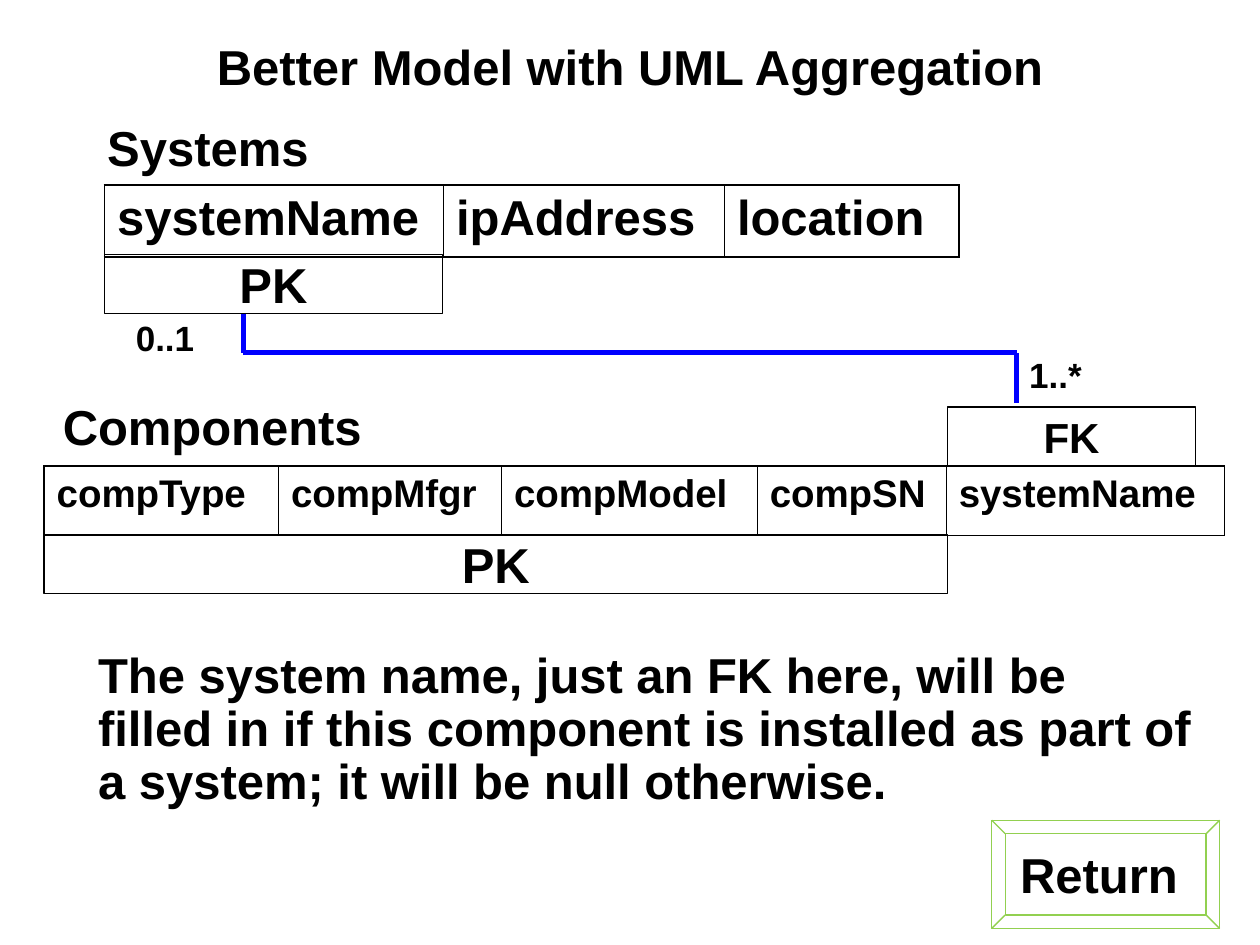
from lxml import etree
from pptx import Presentation
from pptx.dml.color import RGBColor
from pptx.enum import shapes, text
from pptx.oxml import ns
from pptx.util import Inches, Pt

BLACK = RGBColor(0, 0, 0)
BLUE = RGBColor(0, 0, 0xFF)
GREEN = RGBColor(0x92, 0xD0, 0x50)
LEFT, CENTER = text.PP_ALIGN.LEFT, text.PP_ALIGN.CENTER
TOP, MIDDLE = text.MSO_ANCHOR.TOP, text.MSO_ANCHOR.MIDDLE


def write(frame, words, size, align=LEFT, before=0):
    """Put one bold black paragraph in the frame and return it."""
    para = frame.paragraphs[0]
    para.alignment = align
    para.space_before = Pt(before)
    span = para.add_run()
    span.text = words
    span.font.name = "Arial"
    span.font.size = Pt(size)
    span.font.bold = True
    span.font.color.rgb = BLACK
    return para


def draw_border(cell, position, side, width):
    """Add one black cell border; position keeps the schema order."""
    border = etree.Element(ns.qn(f"a:ln{side}"), w=str(Pt(width)))
    fill = etree.SubElement(border, ns.qn("a:solidFill"))
    etree.SubElement(fill, ns.qn("a:srgbClr"), val=str(BLACK))
    cell._tc.get_or_add_tcPr().insert(position, border)


deck = Presentation()
deck.slide_width, deck.slide_height = Inches(10), Inches(7.5)
page = deck.slides.add_slide(deck.slide_layouts[6])

# Relations: left, top, height, text size, space before, columns with widths
relations = [
    (0.83, 1.47, 0.57, 28, 7,
     [("systemName", 2.69), ("ipAddress", 2.23), ("location", 1.86)]),
    (0.35, 3.7, 0.55, 22, 5.5,
     [("compType", 1.86), ("compMfgr", 1.77), ("compModel", 2.03),
      ("compSN", 1.5), ("systemName", 2.21)]),
]
for left, top, height, size, before, columns in relations:
    total = sum(width for _, width in columns)
    table = page.shapes.add_table(
        1, len(columns), Inches(left), Inches(top), Inches(total), Inches(height)
    ).table
    table.first_row = table.horz_banding = False
    table.rows[0].height = Inches(height)
    last = len(columns) - 1
    for index, (name, width) in enumerate(columns):
        table.columns[index].width = Inches(width)
        cell = table.cell(0, index)
        cell.fill.background()
        write(cell.text_frame, name, size, before=before)
        widths = {"L": 1.08 if index == 0 else 0.45,
                  "R": 1.08 if index == last else 0.45,
                  "T": 1.08, "B": 1.08}
        for position, (side, line_width) in enumerate(widths.items()):
            draw_border(cell, position, side, line_width)

# Key boxes and the return button
RECTANGLE, BEVEL = shapes.MSO_SHAPE.RECTANGLE, shapes.MSO_SHAPE.BEVEL
outlined = [
    (RECTANGLE, 0.83, 2.02, 2.68, 0.47, BLACK, "PK", 28, 17.5),
    (RECTANGLE, 7.52, 3.23, 1.97, 0.47, BLACK, "FK", 24, 15),
    (RECTANGLE, 0.35, 4.24, 7.17, 0.47, BLACK, "PK", 28, 17.5),
    (BEVEL, 7.87, 6.51, 1.81, 0.86, GREEN, "Return ", 28, 0),
]
for kind, left, top, width, height, color, words, size, before in outlined:
    box = page.shapes.add_shape(
        kind, Inches(left), Inches(top), Inches(width), Inches(height))
    box.shadow.inherit = False
    box.fill.background()
    box.line.color.rgb = color
    box.line.width = Pt(0.75)
    box.text_frame.word_wrap = False
    box.text_frame.vertical_anchor = MIDDLE
    write(box.text_frame, words, size, CENTER, before)

# Association between the two relations
route = [(1.93, 2.49), (1.93, 2.8), (8.07, 2.8), (8.07, 3.2)]
for start, end in zip(route, route[1:]):
    line = page.shapes.add_connector(
        shapes.MSO_CONNECTOR.STRAIGHT, *map(Inches, start + end))
    line.line.color.rgb = BLUE
    line.line.width = Pt(3)
    etree.SubElement(line._element.spPr, ns.qn("a:effectLst"))

# Title, relation names, multiplicities and explanation
labels = [
    (0.5, 0.22, 9, 0.61, "Better Model with UML Aggregation", 28, CENTER, MIDDLE, 0, 1),
    (0.51, 0.88, 2.28, 0.57, "Systems", 28, CENTER, TOP, 17.5, 1),
    (0.4, 3.1, 2.76, 0.57, "Components", 28, LEFT, TOP, 15, 1),
    (0.98, 2.46, 0.87, 0.44, "0..1", 20, LEFT, TOP, 12.5, 1),
    (8.07, 2.76, 0.87, 0.44, "1..*", 20, LEFT, TOP, 12.5, 1),
    (0.68, 5.12, 8.89, 1.36,
     "The system name, just an FK here, will be filled in if this component "
     "is installed as part of a system; it will be null otherwise.",
     28, LEFT, TOP, 0, 0.9),
]
for left, top, width, height, words, size, align, anchor, before, spacing in labels:
    box = page.shapes.add_textbox(
        Inches(left), Inches(top), Inches(width), Inches(height))
    box.text_frame.word_wrap = True
    box.text_frame.vertical_anchor = anchor
    para = write(box.text_frame, words, size, align, before)
    para.line_spacing = float(spacing)

deck.save("out.pptx")
